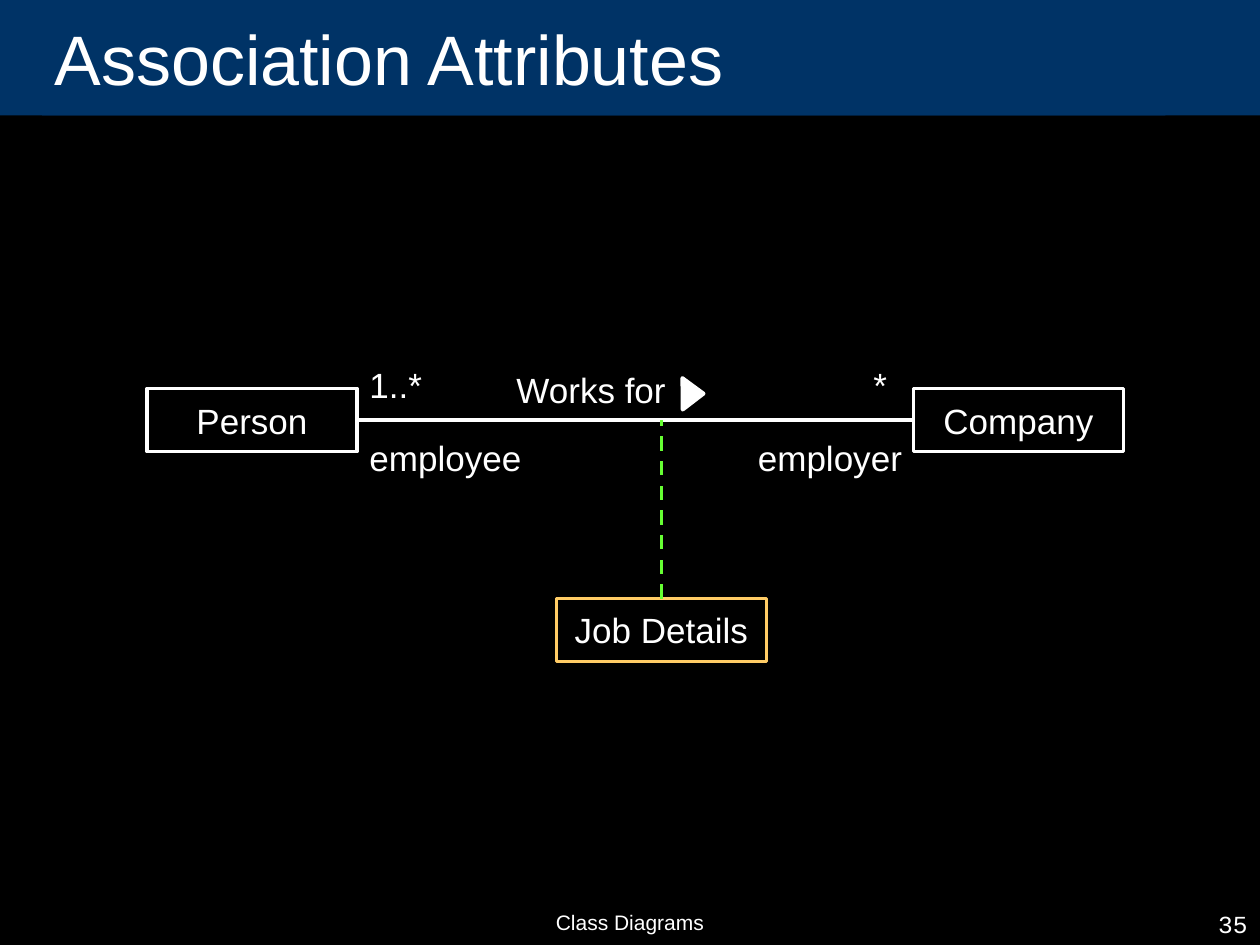
import pptx
import pptx.util
import pptx.dml.color
import pptx.enum.dml
import pptx.enum.shapes
import pptx.enum.text
import pptx.oxml.ns
import lxml.etree

RGB = pptx.dml.color.RGBColor
BLACK = RGB(0x00, 0x00, 0x00)
WHITE = RGB(0xFF, 0xFF, 0xFF)
NAVY = RGB(0x00, 0x33, 0x66)
GOLD = RGB(0xFF, 0xCC, 0x66)
GREEN = RGB(0x66, 0xFF, 0x33)

SHAPE = pptx.enum.shapes.MSO_SHAPE
ALIGN = pptx.enum.text.PP_ALIGN
ANCHOR = pptx.enum.text.MSO_ANCHOR
FIT = pptx.enum.text.MSO_AUTO_SIZE
Pt = pptx.util.Pt

# Content, placed on a grid of 120 by 90 units (12 to the inch)
TITLE = "Association Attributes"
BAND = (0, 0, 120, 11)
TITLE_AREA = (4, 0, 107, 11)
CLASS_SIZE = (20, 6)
CLASSES = [  # name, column, row, outline
    ("Person", 14, 37, WHITE),
    ("Company", 87, 37, WHITE),
    ("Job Details", 53, 57, GOLD),
]
LABEL_H = 5.2
LABELS = [  # text, column, row, width
    ("Works for", 48, 34.5, 16.7),
    ("employee", 34, 41, 16.9),
    ("employer", 71, 41, 16.1),
    ("1..*", 34, 34, 7.4),
    ("*", 82, 34, 3.7),
]
FOOTERS = [  # text, area, format, alignment
    ("Class Diagrams", (41, 86, 38, 4), dict(size=Pt(12), name="Arial"), ALIGN.CENTER),
    ("35", (95, 86, 25, 4), dict(size=Pt(14), name="Courier New"), ALIGN.RIGHT),
]
LINKS = [  # from, to, colour, dash
    ((34, 40), (87, 40), WHITE, None),
    ((63, 57), (63, 40), GREEN, pptx.enum.dml.MSO_LINE.DASH),
]
DIRECTION = (64.5, 36.5, 3, 2)
BODY = dict(size=Pt(20), name="Arial")


def units(*values):
    return [pptx.util.Inches(v / 12) for v in values]


def write(sp, text, font, align=ALIGN.LEFT, anchor=ANCHOR.TOP, wrap=True):
    tf = sp.text_frame
    tf.word_wrap, tf.vertical_anchor = wrap, anchor
    p = tf.paragraphs[0]
    p.alignment = align
    r = p.add_run()
    r.text = text
    for key, value in font.items():
        setattr(r.font, key, value)
    r.font.color.rgb = WHITE


def outline(sp, color, width=2):
    sp.line.color.rgb = color
    sp.line.width = Pt(width)


def add_shape(s, kind, area, fill=None):
    sp = s.shapes.add_shape(kind, *units(*area))
    sp.shadow.inherit = False
    sp.line.fill.background()
    if fill is None:
        sp.fill.background()
    else:
        sp.fill.solid()
        sp.fill.fore_color.rgb = fill
    return sp


prs = pptx.Presentation()
prs.slide_width, prs.slide_height = units(120, 90)
s = prs.slides.add_slide(prs.slide_layouts[5])
s.background.fill.solid()
s.background.fill.fore_color.rgb = BLACK

# Title on its band, which goes to the back
title = s.shapes.title
title.left, title.top, title.width, title.height = units(*TITLE_AREA)
title.fill.solid()
title.fill.fore_color.rgb = NAVY
write(title, TITLE, dict(size=Pt(40), name="Arial"), anchor=ANCHOR.MIDDLE)
band = add_shape(s, SHAPE.RECTANGLE, BAND, NAVY)
title._element.addprevious(band._element)

# Footer and page number
for text, area, font, align in FOOTERS:
    write(s.shapes.add_textbox(*units(*area)), text, font, align)

# Classes
for name, col, row, color in CLASSES:
    sp = add_shape(s, SHAPE.RECTANGLE, (col, row, *CLASS_SIZE))
    outline(sp, color)
    write(sp, name, BODY, ALIGN.CENTER, ANCHOR.MIDDLE, wrap=False)

# Association lines
for start, end, color, dash in LINKS:
    sp = s.shapes.add_connector(pptx.enum.shapes.MSO_CONNECTOR.STRAIGHT,
                                *units(*start, *end))
    outline(sp, color)
    sp.line.dash_style = dash
    lxml.etree.SubElement(sp._element.spPr, pptx.oxml.ns.qn("a:effectLst"))

# Reading direction
sp = add_shape(s, SHAPE.FLOWCHART_EXTRACT, DIRECTION, WHITE)
outline(sp, WHITE, 2.25)
sp.rotation = 89.5

# Association name, roles and multiplicities
for text, col, row, width in LABELS:
    sp = s.shapes.add_textbox(*units(col, row, width, LABEL_H))
    write(sp, text, BODY, wrap=False)
    sp.text_frame.auto_size = FIT.SHAPE_TO_FIT_TEXT

prs.save("out.pptx")
